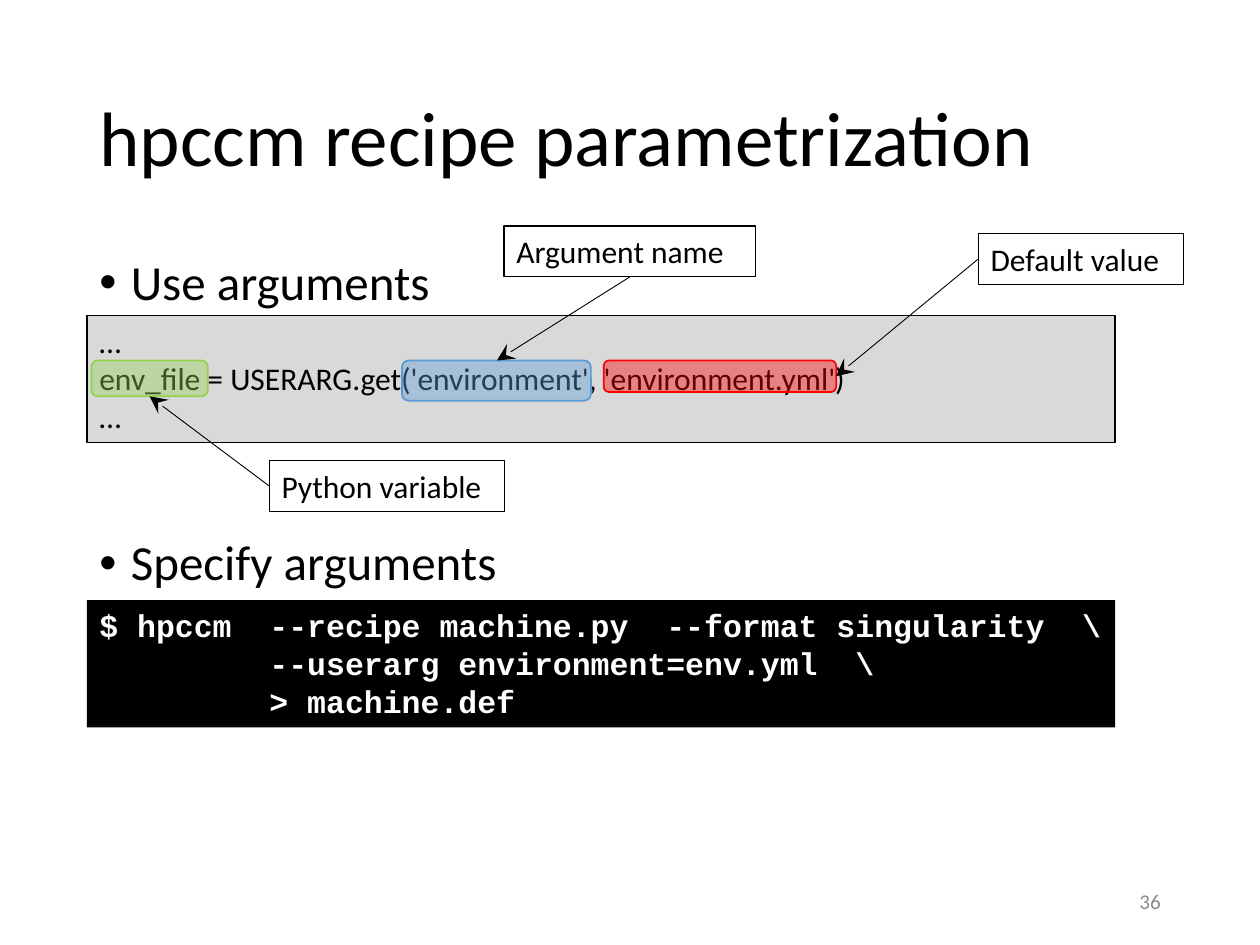
from dataclasses import dataclass

from lxml import etree
from pptx import Presentation
from pptx.dml.color import RGBColor
from pptx.enum.shapes import MSO_CONNECTOR, MSO_SHAPE
from pptx.enum.text import MSO_ANCHOR, PP_ALIGN
from pptx.oxml.ns import qn
from pptx.util import Pt

RECT = MSO_SHAPE.RECTANGLE
ROUNDED = MSO_SHAPE.ROUNDED_RECTANGLE
STRAIGHT = MSO_CONNECTOR.STRAIGHT
TOP, MIDDLE = MSO_ANCHOR.TOP, MSO_ANCHOR.MIDDLE
LEFT, RIGHT = PP_ALIGN.LEFT, PP_ALIGN.RIGHT


@dataclass(frozen=True)
class Theme:
    font: str = "Calibri"
    mono: str = "Courier New"
    black: str = "000000"
    white: str = "FFFFFF"
    panel: str = "D9D9D9"
    muted: str = "8C8C8C"
    green: str = "92D050"
    blue: str = "5B9BD5"
    red: str = "FF0000"
    title: int = 44
    body: int = 28
    label: int = 18
    number: int = 12


THEME = Theme()
MARGIN = 49.7
CONTENT_W = 620.6
PANEL_W = 587.5
PANEL_H = 72.7
CALLOUT_H = 29


def rgb(color):
    return RGBColor.from_string(color)


def write(sp, lines, size, color=THEME.black, font=THEME.font, bold=False,
          anchor=TOP, align=LEFT):
    tf = sp.text_frame
    tf.word_wrap = True
    tf.vertical_anchor = anchor
    tf.text = "\n".join(lines)
    for p in tf.paragraphs:
        p.alignment = align
        for r in p.runs:
            r.font.name = font
            r.font.size = Pt(size)
            r.font.bold = bold
            r.font.color.rgb = rgb(color)
    return tf


def add_text(s, box, lines, size, **style):
    sp = s.shapes.add_textbox(*map(Pt, box))
    return write(sp, lines, size, **style)


def add_bullets(s, box, lines, gap):
    tf = add_text(s, box, lines, THEME.body)
    for i, p in enumerate(tf.paragraphs):
        pPr = p._p.get_or_add_pPr()
        pPr.set("marL", str(Pt(18)))
        pPr.set("indent", str(-Pt(18)))
        etree.SubElement(pPr, qn("a:buFont"), typeface="Arial")
        etree.SubElement(pPr, qn("a:buChar"), char="•")
        p.line_spacing = 0.9
        if i:
            p.space_before = Pt(gap)


def add_box(s, kind, box, fill, line=None, weight=0.75):
    sp = s.shapes.add_shape(kind, *map(Pt, box))
    sp.shadow.inherit = False
    sp.fill.solid()
    sp.fill.fore_color.rgb = rgb(fill)
    if line:
        sp.line.color.rgb = rgb(line)
        sp.line.width = Pt(weight)
    else:
        sp.line.fill.background()
    return sp


def add_panel(s, top, fill, lines, line=None, **style):
    sp = add_box(s, RECT, (MARGIN, top, PANEL_W, PANEL_H), fill, line)
    write(sp, lines, THEME.label, **style).margin_right = 0


def add_highlight(s, box, color):
    sp = add_box(s, ROUNDED, box, color, color, 1)
    clr = sp._element.spPr.find(qn("a:solidFill"))[0]
    etree.SubElement(clr, qn("a:alpha"), val="40000")


def add_callout(s, left, top, width, label):
    sp = add_box(s, RECT, (left, top, width, CALLOUT_H), THEME.white, THEME.black)
    write(sp, [label], THEME.label).margin_right = 0


def add_arrow(s, start, end):
    cxn = s.shapes.add_connector(STRAIGHT, *map(Pt, start + end))
    cxn.line.color.rgb = rgb(THEME.black)
    cxn.line.width = Pt(0.5)
    etree.SubElement(cxn.line._get_or_add_ln(), qn("a:tailEnd"),
                     type="stealth", w="lg", len="lg")
    etree.SubElement(cxn._element.spPr, qn("a:effectLst"))


def annotate(s, highlight, color, callout, label, start, end):
    add_highlight(s, highlight, color)
    add_callout(s, *callout, label)
    add_arrow(s, start, end)


def main():
    prs = Presentation()
    prs.slide_width, prs.slide_height = Pt(720), Pt(540)
    s = prs.slides.add_slide(prs.slide_layouts[6])

    tf = add_text(s, (MARGIN, 28.8, CONTENT_W, 104.4),
                  ["hpccm recipe parametrization"], THEME.title, anchor=MIDDLE)
    tf.paragraphs[0].line_spacing = 0.9
    add_bullets(s, (MARGIN, 144, CONTENT_W, 342.7),
                ["Use arguments", "Specify arguments"], 130)
    add_text(s, (508.3, 500.4, 162, 28.8), ["36"], THEME.number,
             color=THEME.muted, anchor=MIDDLE, align=RIGHT)

    add_panel(s, 180.2, THEME.panel,
              ["…", "env_file = USERARG.get('environment', 'environment.yml')", "…"],
              line=THEME.black)
    add_panel(s, 343, THEME.black,
              ["$ hpccm  --recipe machine.py  --format singularity  \\",
               "         --userarg environment=env.yml  \\",
               "         > machine.def"],
              color=THEME.white, font=THEME.mono, bold=True)

    annotate(s, (229.7, 206, 108, 23), THEME.blue,
             (288, 129.2, 143.6), "Argument name", (360, 158.2), (284, 206))
    annotate(s, (345, 206, 132.8, 18), THEME.red,
             (559, 133.5, 117.4), "Default value", (559, 148), (477.8, 215))
    annotate(s, (52.3, 206, 66.4, 20.5), THEME.green,
             (153.8, 263.2, 134.4), "Python variable", (153.8, 277.7), (85.5, 226.5))

    prs.save("out.pptx")


if __name__ == "__main__":
    main()
